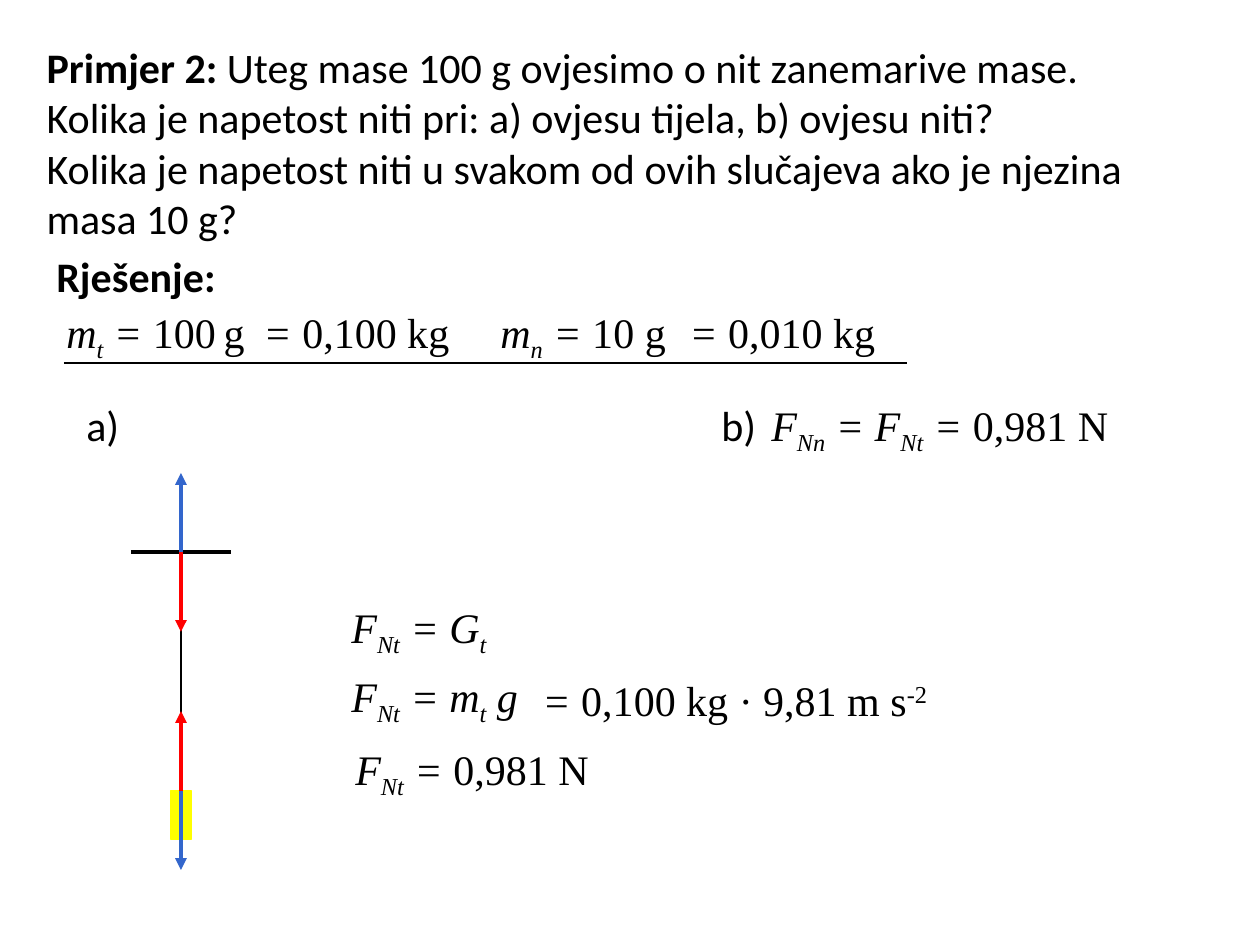
from lxml.etree import SubElement
from pptx import Presentation
from pptx.dml.color import RGBColor
from pptx.enum.shapes import MSO_CONNECTOR, MSO_SHAPE
from pptx.enum.text import MSO_ANCHOR, MSO_AUTO_SIZE, PP_ALIGN
from pptx.oxml.ns import qn
from pptx.util import Emu, Pt

BLACK = RGBColor(0x00, 0x00, 0x00)
YELLOW = RGBColor(0xFF, 0xFF, 0x00)
RED = RGBColor(0xFF, 0x00, 0x00)
BLUE = RGBColor(0x33, 0x66, 0xCC)
BODY_FONT = "Calibri"
MATH_FONT = "Times New Roman"
ROW = 63
BASELINES = {"sub": -25000, "sup": 30000}

TENSION = [("F", "italic"), ("Nt", "sub")]
RESULT = [(" = ", "italic"), ("0,981 N", "upright")]


def px(length):
    """Turn pixels, 126 to the inch, into EMU."""
    return Emu(round(length * 914400 / 126))


def style_run(run, font, bold=False, italic=False, size=24):
    """Format one run."""
    run.font.name = font
    run.font.size = Pt(size)
    run.font.bold = bold
    run.font.italic = italic
    run.font.color.rgb = BLACK


def add_box(slide, left, top, width):
    """Add a one-row text box and return its paragraph."""
    frame = slide.shapes.add_textbox(px(left), px(top), px(width), px(ROW)).text_frame
    frame.word_wrap = False
    return frame.paragraphs[0]


def add_label(slide, left, top, width, wording, bold=False):
    """Add a plain label."""
    label = add_box(slide, left, top, width)
    label.text = wording
    style_run(label.runs[0], BODY_FONT, bold)


def add_formula(slide, left, top, width, parts):
    """Add a formula made of (wording, style) parts."""
    formula = add_box(slide, left, top, width)
    for wording, style in parts:
        run = formula.add_run()
        run.text = wording
        style_run(run, MATH_FONT, italic=style in ("italic", "sub"),
                  size=18 if style == "small" else 24)
        if style in BASELINES:
            run.font._element.set("baseline", str(BASELINES[style]))


def add_line(slide, start, end, color=BLACK, weight=0.75, arrow=False):
    """Add a straight line, with an arrowhead at its end if asked."""
    line = slide.shapes.add_connector(
        MSO_CONNECTOR.STRAIGHT, *(px(value) for value in (*start, *end)))
    line.line.color.rgb = color
    line.line.width = Pt(weight)
    if arrow:
        SubElement(line.line._get_or_add_ln(), qn("a:tailEnd"), type="triangle")
    SubElement(line._element.spPr, qn("a:effectLst"))


def place_statement(slide, left, top, width, height):
    """Put the problem in the title placeholder."""
    statement = slide.shapes.title
    statement.left, statement.top = px(left), px(top)
    statement.width, statement.height = px(width), px(height)
    frame = statement.text_frame
    frame.word_wrap = False
    frame.auto_size = MSO_AUTO_SIZE.NONE
    frame.vertical_anchor = MSO_ANCHOR.TOP
    frame.text = "\n".join([
        "Primjer 2: ",
        "Kolika je napetost niti pri: a) ovjesu tijela, b) ovjesu niti?",
        "Kolika je napetost niti u svakom od ovih slučajeva ako je njezina",
        "masa 10 g?",
    ])
    opening = frame.paragraphs[0]
    opening.add_run().text = "Uteg mase 100 g ovjesimo o nit zanemarive mase."
    for paragraph in frame.paragraphs:
        paragraph.alignment = PP_ALIGN.LEFT
        for run in paragraph.runs:
            style_run(run, BODY_FONT)
    opening.runs[0].font.bold = True


def place_givens(slide, left, top, width):
    """Write the known masses above a rule."""
    add_label(slide, left - 10, top - 56, 212, "Rješenje:", bold=True)
    givens = [
        (0, 230, [("m", "italic"), ("t", "sub"), (" = ", "italic"),
                  ("100", "upright"), (" ", "small"), ("g", "upright")]),
        (197, 220, [("= ", "italic"), ("0,100 kg", "upright")]),
        (434, 210, [("m", "italic"), ("n", "sub"), (" = ", "italic"), ("10 g", "upright")]),
        (623, 220, [("= ", "italic"), ("0,010 kg", "upright")]),
    ]
    for offset, span, parts in givens:
        add_formula(slide, left + offset, top, span, parts)
    add_line(slide, (left + 10, top + ROW), (left + width, top + ROW))


def place_diagram(slide, left, top, width, height):
    """Draw the hanging weight with its forces in five equal steps."""
    middle = left + width / 2
    levels = [top + height * step / 5 for step in range(6)]
    ceiling, knot = levels[1], levels[4]
    add_line(slide, (left, ceiling), (left + width, ceiling), weight=2.25)
    add_line(slide, (middle, ceiling), (middle, knot))
    weight = slide.shapes.add_shape(
        MSO_SHAPE.RECTANGLE, px(middle - 10), px(knot), px(20), px(49))
    weight.shadow.inherit = False
    weight.fill.solid()
    weight.fill.fore_color.rgb = YELLOW
    weight.line.color.rgb = YELLOW
    weight.line.width = Pt(0.75)
    for origin, tip, color in [(4, 5, BLUE), (4, 3, RED), (1, 2, RED), (1, 0, BLUE)]:
        add_line(slide, (middle, levels[origin]), (middle, levels[tip]),
                 color, 2.25, arrow=True)


def place_part_a(slide, left, top):
    """Derive the tension for the hung body."""
    add_label(slide, left, top, 63, "a)")
    place_diagram(slide, left + 57, top + 80, 100, 397)
    add_formula(slide, left + 265, top + 202, 180,
                TENSION + [(" = G", "italic"), ("t", "sub")])
    add_formula(slide, left + 265, top + 271, 210,
                TENSION + [(" = m", "italic"), ("t", "sub"), (" g", "italic")])
    add_formula(slide, left + 456, top + 275, 420,
                [("= ", "italic"), ("0,100 kg · 9,81 m s", "upright"), ("-2", "sup")])
    add_formula(slide, left + 269, top + 344, 262, TENSION + RESULT)


def place_part_b(slide, left, top):
    """State the tension for the hung thread."""
    add_label(slide, left, top, 63, "b)")
    add_formula(slide, left + 50, top, 380,
                [("F", "italic"), ("Nn", "sub"), (" = ", "italic")] + TENSION + RESULT)


def main():
    """Build and save the slide."""
    deck = Presentation()
    deck.slide_width, deck.slide_height = px(1260), px(945)
    slide = deck.slides.add_slide(deck.slide_layouts[5])
    place_statement(slide, 34, 35, 1120, 217)
    place_givens(slide, 54, 300, 853)
    place_part_a(slide, 74, 393)
    place_part_b(slide, 709, 393)
    deck.save("out.pptx")


if __name__ == "__main__":
    main()
